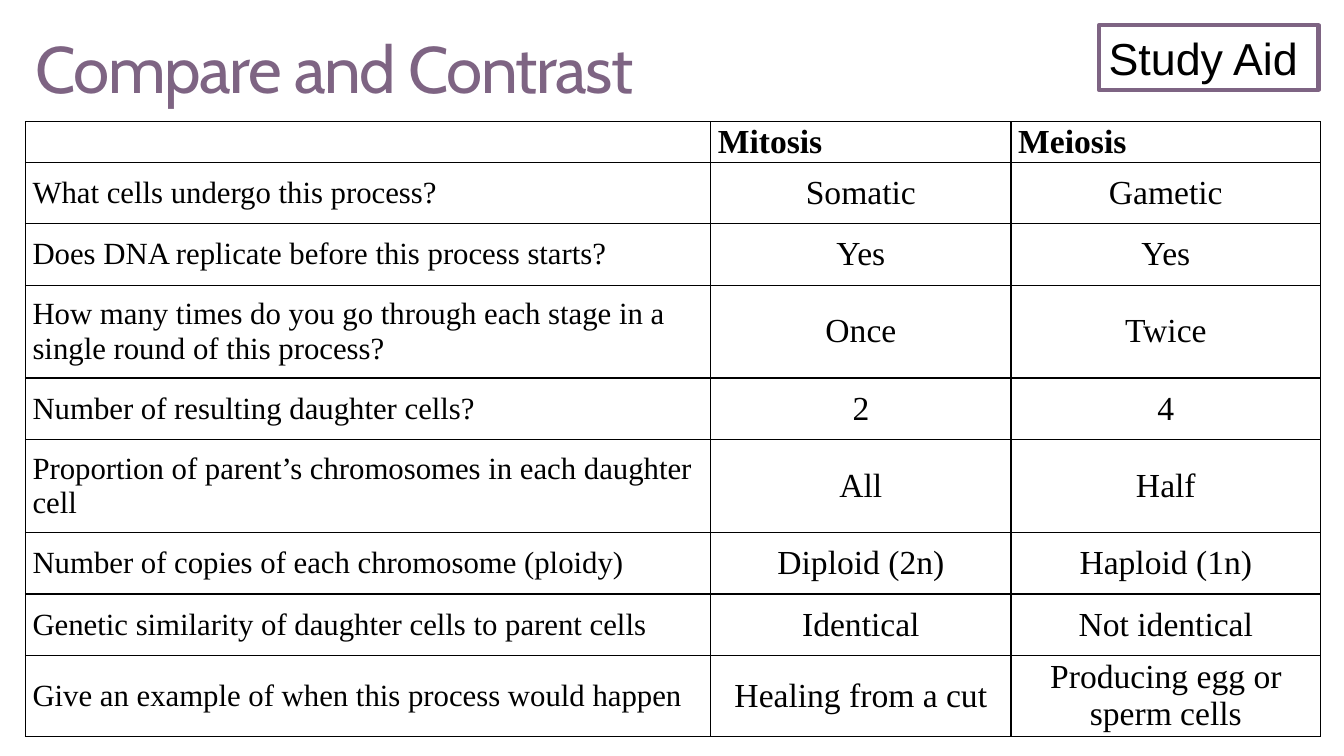
from lxml.etree import SubElement
from pptx import Presentation
from pptx.dml.color import RGBColor
from pptx.enum.shapes import MSO_SHAPE as Shape
from pptx.enum.text import MSO_ANCHOR as Anchor, PP_ALIGN as Align
from pptx.oxml.ns import qn
from pptx.util import Cm, Pt

COLORS = {"plum": "7E6483", "black": "000000"}
SERIF = "Times New Roman"

HEADINGS = ["", "Mitosis", "Meiosis"]
COMPARISONS = [
    ("What cells undergo this process?", "Somatic", "Gametic"),
    ("Does DNA replicate before this process starts?", "Yes", "Yes"),
    ("How many times do you go through each stage in a single round of this process?", "Once", "Twice"),
    ("Number of resulting daughter cells?", "2", "4"),
    ("Proportion of parent’s chromosomes in each daughter cell", "All", "Half"),
    ("Number of copies of each chromosome (ploidy)", "Diploid (2n)", "Haploid (1n)"),
    ("Genetic similarity of daughter cells to parent cells", "Identical", "Not identical"),
    ("Give an example of when this process would happen", "Healing from a cut", "Producing egg or sperm cells"),
]
COLUMN_WIDTHS = [17.27, 7.57, 7.8]
HEADER, SINGLE, DOUBLE, LAST = 0.84, 1.55, 2.34, 1.7
ROW_HEIGHTS = [HEADER, SINGLE, SINGLE, DOUBLE, SINGLE, DOUBLE, SINGLE, SINGLE, LAST]


def color(name):
    return RGBColor.from_string(COLORS[name])


def write(frame, text, font=SERIF, size=24, ink="black", bold=False,
          align=Align.LEFT, line_spacing=None, tracking=None):
    para = frame.paragraphs[0]
    para.alignment = align
    if line_spacing:
        para.line_spacing = line_spacing
    span = para.add_run()
    span.text = text
    span.font.name = font
    span.font.size = Pt(size)
    span.font.bold = bold
    span.font.color.rgb = color(ink)
    if tracking:
        span.font._element.set("spc", str(round(tracking * 100)))


class StudyPage:
    def __init__(self, page, accent="plum", ink="black"):
        self.page = page
        self.accent = accent
        self.ink = ink

    def title(self, text, left, top, width, height):
        box = self.page.shapes.add_textbox(Cm(left), Cm(top), Cm(width), Cm(height))
        frame = box.text_frame
        frame.word_wrap = True
        frame.vertical_anchor = Anchor.MIDDLE
        write(frame, text, font="Cabin", size=46.9, ink=self.accent,
              line_spacing=0.85, tracking=-1)

    def badge(self, text, left, top, width, height):
        box = self.page.shapes.add_shape(Shape.RECTANGLE, Cm(left), Cm(top), Cm(width), Cm(height))
        box.shadow.inherit = False
        box.fill.background()
        box.line.color.rgb = color(self.accent)
        box.line.width = Pt(3)
        box.text_frame.word_wrap = True
        box.text_frame.vertical_anchor = Anchor.TOP
        write(box.text_frame, text, font="Arial", size=32, ink=self.ink)

    def border(self, cell):
        properties = cell._tc.get_or_add_tcPr()
        for side in ("a:lnL", "a:lnR", "a:lnT", "a:lnB"):
            line = SubElement(properties, qn(side), w=str(Pt(1)))
            fill = SubElement(line, qn("a:solidFill"))
            SubElement(fill, qn("a:srgbClr"), val=COLORS[self.ink])

    def cell(self, cell, text, **style):
        cell.margin_left = cell.margin_right = Cm(0.18)
        cell.margin_top = cell.margin_bottom = 0
        cell.vertical_anchor = Anchor.MIDDLE
        self.border(cell)
        cell.fill.background()
        if text:
            write(cell.text_frame, text, ink=self.ink, **style)

    def table(self, left, top):
        table = self.page.shapes.add_table(
            len(ROW_HEIGHTS), len(COLUMN_WIDTHS), Cm(left), Cm(top),
            Cm(sum(COLUMN_WIDTHS)), Cm(sum(ROW_HEIGHTS))).table
        table.first_row = table.horz_banding = False
        for column, width in zip(table.columns, COLUMN_WIDTHS):
            column.width = Cm(width)
        for row, height in zip(table.rows, ROW_HEIGHTS):
            row.height = Cm(height)
        for index, heading in enumerate(HEADINGS):
            self.cell(table.cell(0, index), heading, bold=True)
        for number, (question, *answers) in enumerate(COMPARISONS, 1):
            self.cell(table.cell(number, 0), question, size=22)
            for index, answer in enumerate(answers, 1):
                self.cell(table.cell(number, index), answer, align=Align.CENTER)


def main():
    deck = Presentation()
    deck.slide_width, deck.slide_height = Cm(33.87), Cm(19.05)
    study = StudyPage(deck.slides.add_slide(deck.slide_layouts[6]))
    study.title("Compare and Contrast", 0.64, -0.46, 29.92, 4.6)
    study.table(0.64, 3.07)
    study.badge("Study Aid", 27.69, 0.64, 5.54, 1.62)
    deck.save("out.pptx")


if __name__ == "__main__":
    main()
